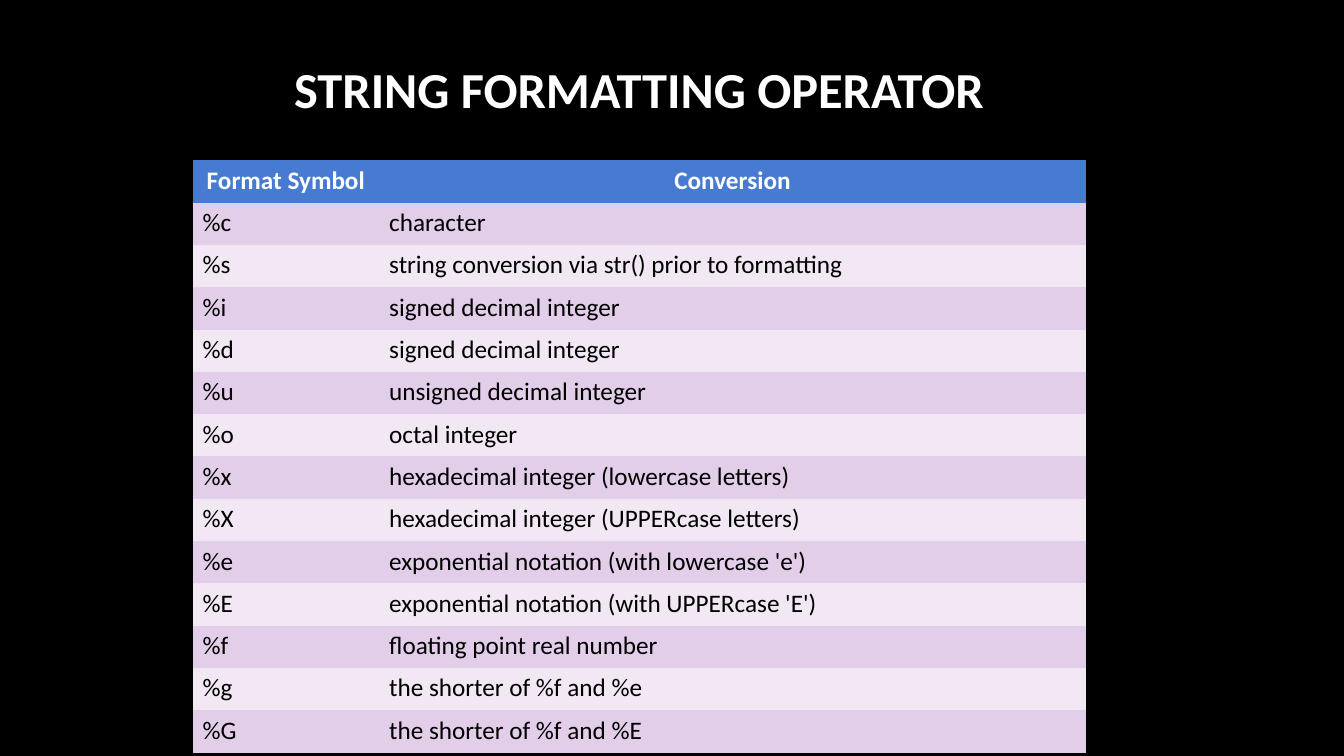
from pptx import Presentation
from pptx.dml.color import RGBColor
from pptx.enum import text as t
from pptx.util import Inches, Pt

ROWS = [
    ("Format Symbol", "Conversion"),
    ("%c", "character"),
    ("%s", "string conversion via str() prior to formatting"),
    ("%i", "signed decimal integer"),
    ("%d", "signed decimal integer"),
    ("%u", "unsigned decimal integer"),
    ("%o", "octal integer"),
    ("%x", "hexadecimal integer (lowercase letters)"),
    ("%X", "hexadecimal integer (UPPERcase letters)"),
    ("%e", "exponential notation (with lowercase 'e')"),
    ("%E", "exponential notation (with UPPERcase 'E')"),
    ("%f", "floating point real number"),
    ("%g", "the shorter of %f and %e"),
    ("%G", "the shorter of %f and %E"),
]
WIDTHS = (1.85, 7.01)
ROW_H = 0.42
BANDS = ("F1E8F4", "E3CEE9")
NO_GRID = "{2D5ABB26-0587-4C30-8999-92F81FD0307C}"


def paint(fill, color):
    """Fill with one solid hex colour."""
    fill.solid()
    fill.fore_color.rgb = RGBColor.from_string(color)


def write(frame, words, size, color, bold, align):
    """Put one styled paragraph in a text frame."""
    frame.text = words
    para = frame.paragraphs[0]
    para.alignment = align
    font = para.font
    font.name, font.size, font.bold = "Calibri", Pt(size), bold
    paint(font.fill, color)


def add_title(slide, words):
    """Place and style the title placeholder."""
    title = slide.shapes.title
    title.left, title.top = Inches(0.8), Inches(0.08)
    title.width, title.height = Inches(11.08), Inches(1.59)
    title.text_frame.vertical_anchor = t.MSO_ANCHOR.MIDDLE
    write(title.text_frame, words, 36, "FFFFFF", True, t.PP_ALIGN.CENTER)


def add_grid(slide, rows):
    """Add the banded table of format symbols."""
    frame = slide.shapes.add_table(
        len(rows), len(WIDTHS), Inches(1.91), Inches(1.59),
        Inches(sum(WIDTHS)), Inches(ROW_H * len(rows)))
    table = frame.table
    table._tbl.tblPr[0].text = NO_GRID
    for col, width in zip(table.columns, WIDTHS):
        col.width = Inches(width)
    for r, row in enumerate(rows):
        table.rows[r].height = Inches(ROW_H)
        head = r == 0
        for c, words in enumerate(row):
            cell = table.cell(r, c)
            paint(cell.fill, "477BD1" if head else BANDS[r % 2])
            write(cell.text_frame, words, 18,
                  "FFFFFF" if head else "000000", head,
                  t.PP_ALIGN.CENTER if head else t.PP_ALIGN.JUSTIFY)


def main():
    """Build and save the slide."""
    deck = Presentation()
    deck.slide_width, deck.slide_height = Inches(13.33), Inches(7.5)
    slide = deck.slides.add_slide(deck.slide_layouts[5])
    paint(slide.background.fill, "000000")
    add_title(slide, "STRING FORMATTING OPERATOR")
    add_grid(slide, ROWS)
    deck.save("out.pptx")


if __name__ == "__main__":
    main()
